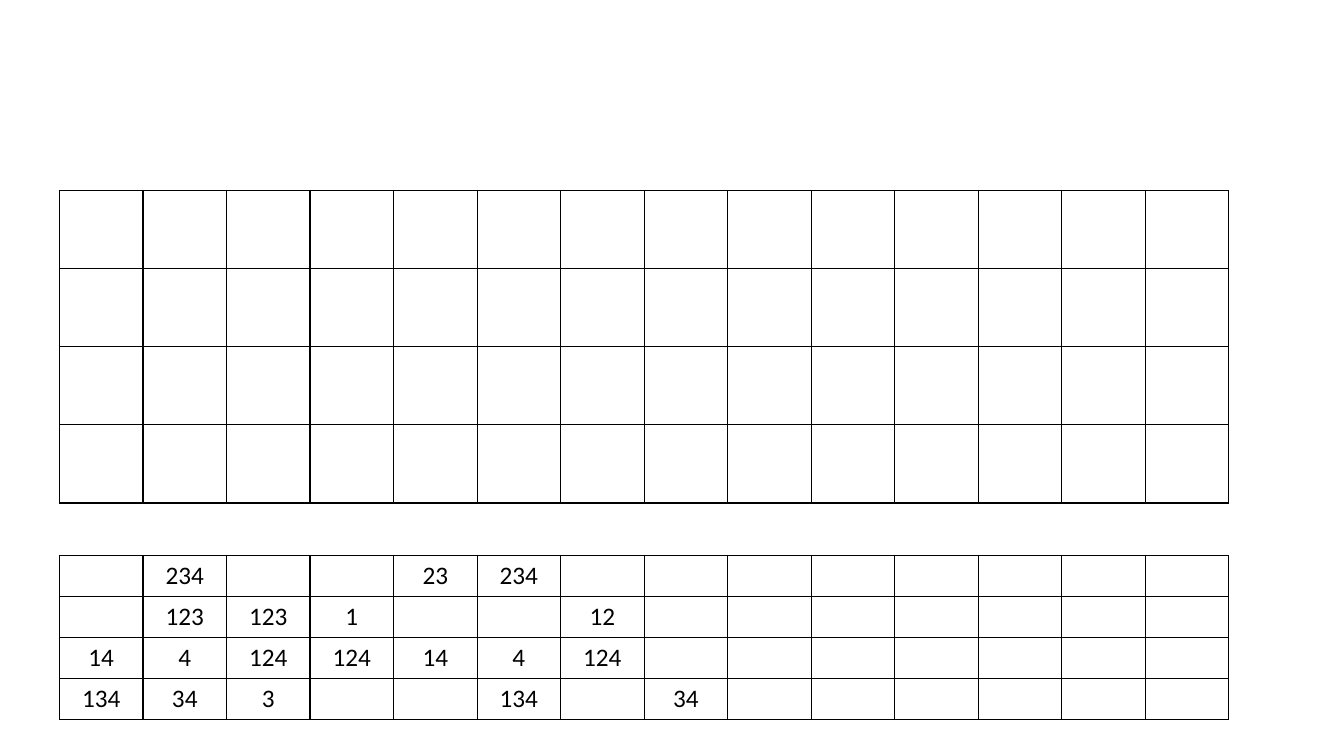
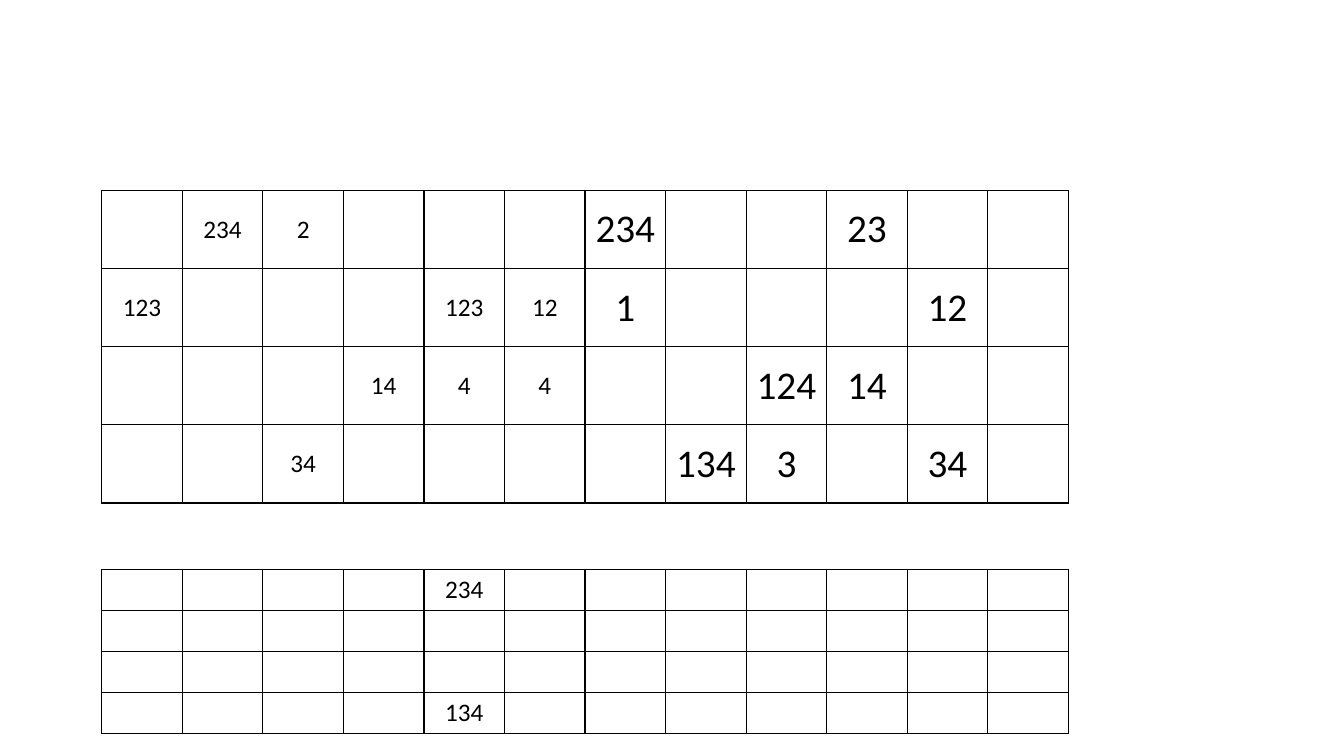
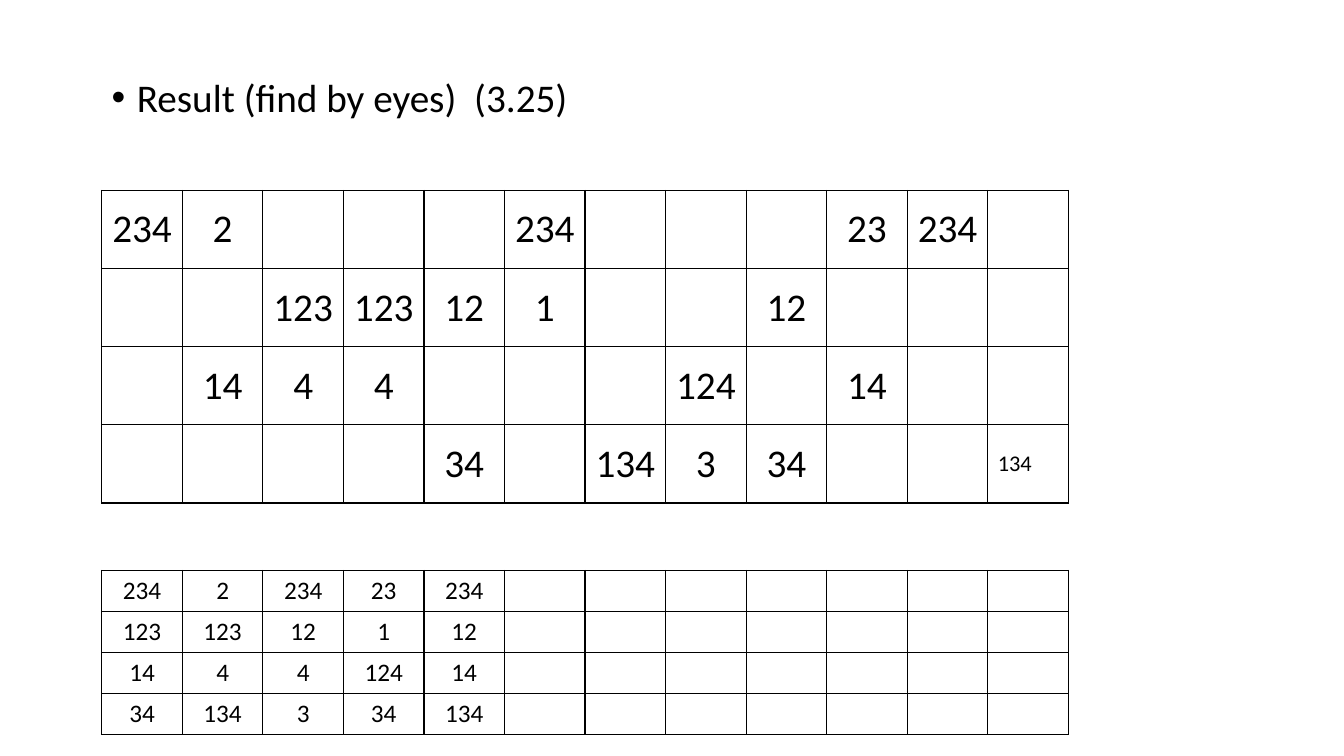
"""Build three slides of paired number grids."""
from lxml.etree import SubElement
from pptx import Presentation
from pptx.dml.color import RGBColor
from pptx.enum.text import MSO_ANCHOR, PP_ALIGN
from pptx.oxml.ns import qn
from pptx.util import Inches, Pt

BLACK = RGBColor(0x00, 0x00, 0x00)
WHITE = RGBColor(0xFF, 0xFF, 0xFF)
BLANK = "-"

EMPTY_GRID = [BLANK * 14] * 4
WIDE_COUNTS = [
    "- 234 - - 23 234 - - - - - - - -",
    "- 123 123 1 - - 12 - - - - - - -",
    "14 4 124 124 14 4 124 - - - - - - -",
    "134 34 3 - - 134 - 34 - - - - - -",
]
PARTIAL_GRID = [
    "- 234 2 - - - 234 - - 23 - -",
    "123 - - - 123 12 1 - - - 12 -",
    "- - - 14 4 4 - - 124 14 - -",
    "- - 34 - - - - 134 3 - 34 -",
]
PARTIAL_REST = [
    "- - - - 234 - - - - - - -",
    "- - - - - - - - - - - -",
    "- - - - - - - - - - - -",
    "- - - - 134 - - - - - - -",
]
RESULT_GRID = [
    "234 2 - - - 234 - - - 23 234 -",
    "- - 123 123 12 1 - - 12 - - -",
    "- 14 4 4 - - - 124 - 14 - -",
    "- - - - 34 - 134 3 34 - - 134",
]
RESULT_COUNTS = [
    "234 2 234 23 234 - - - - - - -",
    "123 123 12 1 12 - - - - - - -",
    "14 4 4 124 14 - - - - - - -",
    "34 134 3 34 134 - - - - - - -",
]


class Deck:
    """Hold the shared style and the current slide."""

    font = "Calibri"
    small, large = 18, 28
    grid_top, grid_height, counts_height = 1.89, 3.1, 1.63

    def __init__(self):
        self.prs = Presentation()
        self.prs.slide_width = Inches(13.33)
        self.prs.slide_height = Inches(7.5)
        self.s = None

    def add_slide(self):
        self.s = self.prs.slides.add_slide(self.prs.slide_layouts[6])

    def style(self, p, size):
        for r in p.runs:
            r.font.name = self.font
            r.font.size = Pt(size)
            r.font.color.rgb = BLACK

    def border(self, cell):
        tc_pr = cell._tc.get_or_add_tcPr()
        for side in ("lnL", "lnR", "lnT", "lnB"):
            ln = SubElement(tc_pr, qn(f"a:{side}"), w=str(Pt(1)))
            fill = SubElement(ln, qn("a:solidFill"))
            SubElement(fill, qn("a:srgbClr"), val=str(BLACK))

    def table(self, rows, left, top, width, height, sizes):
        table = self.s.shapes.add_table(
            len(rows), len(sizes), Inches(left), Inches(top), Inches(width), Inches(height)
        ).table
        table.first_row = table.horz_banding = False
        for i, row in enumerate(rows):
            values = row.split() if " " in row else row
            for j, (value, size) in enumerate(zip(values, sizes)):
                cell = table.cell(i, j)
                self.border(cell)
                cell.fill.solid()
                cell.fill.fore_color.rgb = WHITE
                cell.vertical_anchor = MSO_ANCHOR.MIDDLE
                if value != BLANK:
                    p = cell.text_frame.paragraphs[0]
                    p.text = value
                    p.alignment = PP_ALIGN.CENTER
                    self.style(p, size)
        return table

    def grid_pair(self, grid, counts, left, width, counts_top, sizes):
        self.add_slide()
        table = self.table(grid, left, self.grid_top, width, self.grid_height, sizes)
        self.table(counts, left, counts_top, width, self.counts_height, [self.small] * len(sizes))
        return table

    def bullet(self, text, left, top, width, height):
        tf = self.s.shapes.add_textbox(
            Inches(left), Inches(top), Inches(width), Inches(height)
        ).text_frame
        tf.word_wrap = True
        p = tf.paragraphs[0]
        p.text = text
        p_pr = p._p.get_or_add_pPr()
        p_pr.set("marL", str(Inches(0.25)))
        p_pr.set("indent", str(Inches(-0.25)))
        SubElement(p_pr, qn("a:buFont"), typeface="Arial")
        SubElement(p_pr, qn("a:buChar"), char="•")
        p.line_spacing = 0.9
        self.style(p, self.large)


def main():
    deck = Deck()
    deck.grid_pair(EMPTY_GRID, WIDE_COUNTS, 0.59, 11.6, 5.51, [18] * 14)
    deck.grid_pair(PARTIAL_GRID, PARTIAL_REST, 1.01, 9.59, 5.65, [18] * 6 + [28] * 6)
    result = deck.grid_pair(
        RESULT_GRID, RESULT_COUNTS, 1.01, 9.59, 5.66, [28] * 11 + [16]
    )
    result.cell(3, 11).text_frame.paragraphs[0].alignment = PP_ALIGN.LEFT
    deck.bullet("Result (find by eyes)  (3.25)", 1.01, 0.73, 10, 0.83)
    deck.prs.save("out.pptx")


if __name__ == "__main__":
    main()
